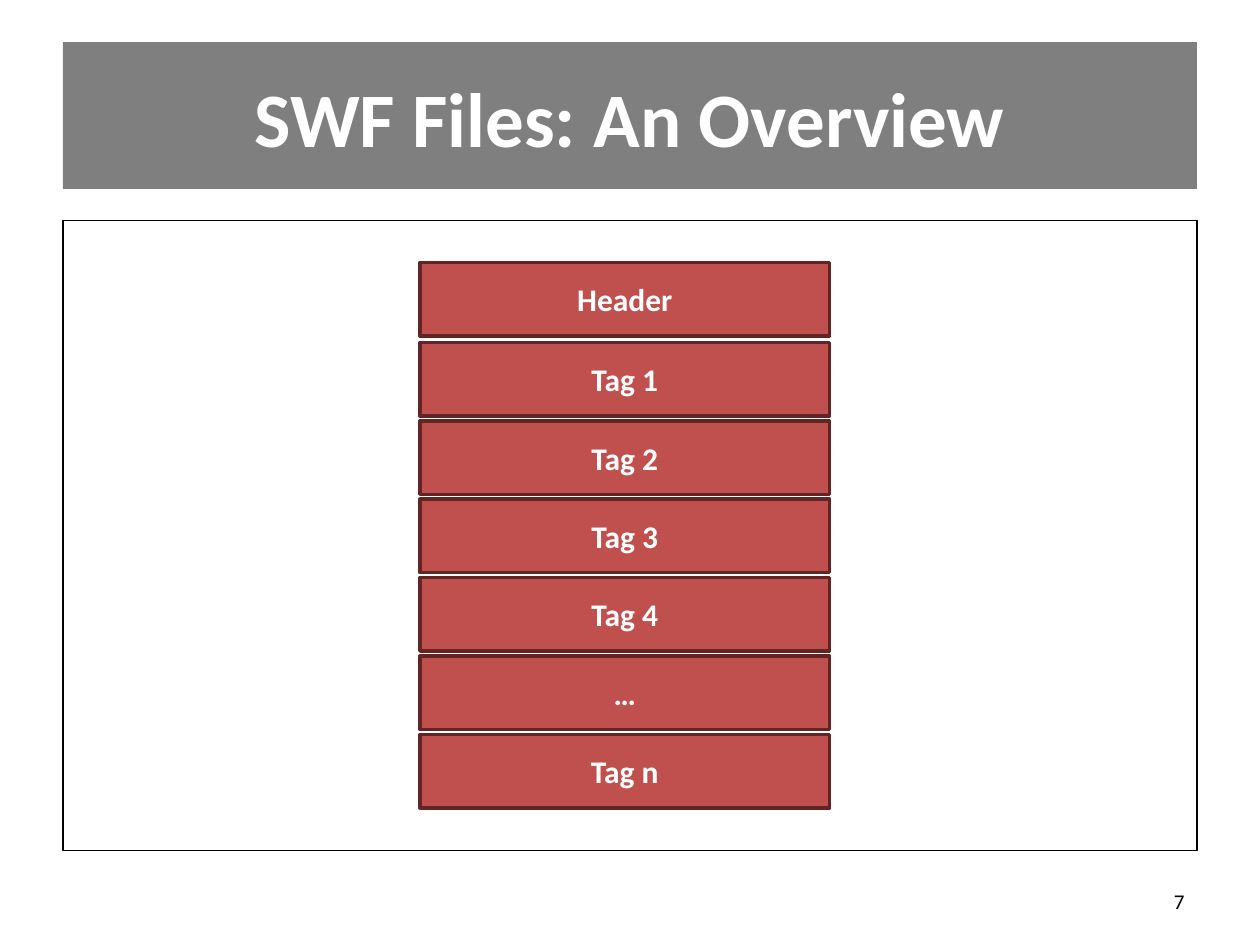
from lxml import etree
from pptx import Presentation
from pptx.dml.color import RGBColor
from pptx.enum.shapes import MSO_SHAPE
from pptx.enum.text import MSO_ANCHOR, PP_ALIGN
from pptx.oxml.ns import qn
from pptx.util import Pt

RECTANGLE = MSO_SHAPE.RECTANGLE
MIDDLE = MSO_ANCHOR.MIDDLE
CENTER = PP_ALIGN.CENTER
RIGHT = PP_ALIGN.RIGHT
TITLE_ONLY = 5

FONT = "Calibri"
COLORS = {
    "black": "000000",
    "white": "FFFFFF",
    "block": "C0504D",
    "block_edge": "632523",
}
MARGIN = 36
CONTENT_WIDTH = 648
BLOCK_LEFT, BLOCK_WIDTH, BLOCK_HEIGHT = 240, 234, 42
HEADER_TOP = 150
TAGS_TOP, TAG_PITCH = 195.7, 44.8
TAGS = ["Tag 1", "Tag 2", "Tag 3", "Tag 4", "…", "Tag n"]


def rgb(name):
    return RGBColor.from_string(COLORS[name])


def write_text(shape, text, size, color, align, bold=False):
    frame = shape.text_frame
    frame.word_wrap = True
    frame.vertical_anchor = MIDDLE
    paragraph = frame.paragraphs[0]
    paragraph.text = text
    paragraph.alignment = align
    paragraph.font.name = FONT
    paragraph.font.size = Pt(size)
    paragraph.font.bold = bold
    paragraph.font.color.rgb = rgb(color)


def add_rectangle(slide, left, top, width, height, fill=None, edge=None, edge_width=1):
    rectangle = slide.shapes.add_shape(
        RECTANGLE, Pt(left), Pt(top), Pt(width), Pt(height))
    rectangle.shadow.inherit = False
    if fill:
        rectangle.fill.solid()
        rectangle.fill.fore_color.rgb = rgb(fill)
    else:
        rectangle.fill.background()
    if edge:
        rectangle.line.color.rgb = rgb(edge)
        rectangle.line.width = Pt(edge_width)
    else:
        rectangle.line.fill.background()
    return rectangle


def set_opacity(shape, percent):
    color = shape.element.spPr.find(qn("a:solidFill")).find(qn("a:srgbClr"))
    etree.SubElement(color, qn("a:alpha")).set("val", str(percent * 1000))


def add_title(slide, text):
    banner = add_rectangle(slide, MARGIN, 24, CONTENT_WIDTH, 84, fill="black")
    set_opacity(banner, 50)
    title = slide.shapes.title
    title.left, title.top = Pt(MARGIN), Pt(21.6)
    title.width, title.height = Pt(CONTENT_WIDTH), Pt(90)
    write_text(title, text, 44, "white", CENTER, bold=True)
    banner.element.addnext(title.element)


def add_block(slide, top, text):
    block = add_rectangle(slide, BLOCK_LEFT, top, BLOCK_WIDTH, BLOCK_HEIGHT,
                          fill="block", edge="block_edge", edge_width=2)
    write_text(block, text, 18, "white", CENTER, bold=True)


def add_page_number(slide, number):
    page_number = slide.shapes.add_textbox(Pt(516), Pt(500.5), Pt(168), Pt(28.8))
    write_text(page_number, number, 12, "black", RIGHT)


def main():
    deck = Presentation()
    deck.slide_width, deck.slide_height = Pt(720), Pt(540)
    slide = deck.slides.add_slide(deck.slide_layouts[TITLE_ONLY])
    add_title(slide, "SWF Files: An Overview")
    add_rectangle(slide, MARGIN, 126, CONTENT_WIDTH, 360, edge="black")
    add_block(slide, HEADER_TOP, "Header")
    for index, tag in enumerate(TAGS):
        add_block(slide, TAGS_TOP + index * TAG_PITCH, tag)
    add_page_number(slide, "7")
    deck.save("out.pptx")


if __name__ == "__main__":
    main()
